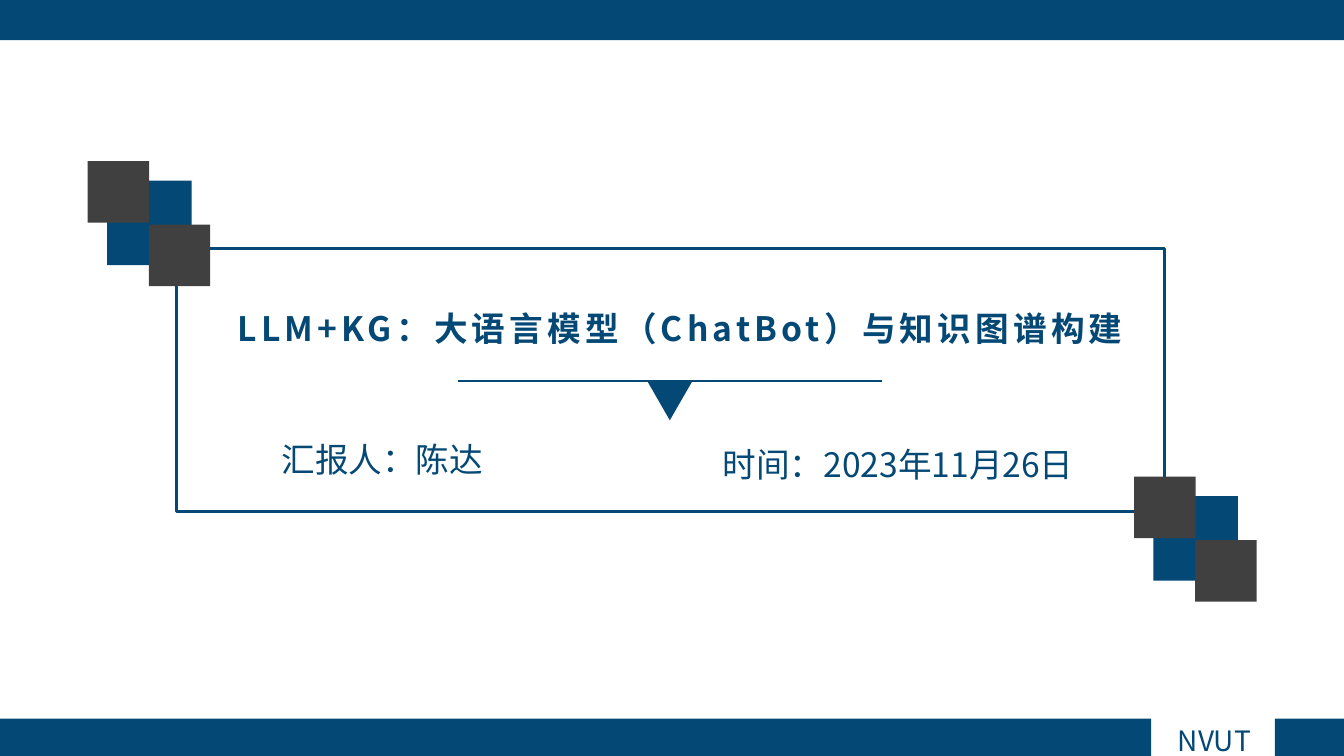
from lxml.etree import SubElement
from pptx import Presentation
from pptx.dml.color import RGBColor
from pptx.enum.shapes import MSO_CONNECTOR, MSO_SHAPE
from pptx.enum.text import MSO_ANCHOR, MSO_AUTO_SIZE, PP_ALIGN
from pptx.oxml.ns import qn
from pptx.util import Cm, Pt

NAVY = RGBColor(0x04, 0x48, 0x75)
CHARCOAL = RGBColor(0x40, 0x40, 0x40)
FONT = "Noto Sans CJK SC"
WIDTH, HEIGHT = 33.87, 19.05
FOOTER_TOP = 18.11


def place(shape, left, top, width, height):
    shape.left, shape.top = Cm(left), Cm(top)
    shape.width, shape.height = Cm(width), Cm(height)


def write(shape, text, size=24, bold=False, spacing=0):
    """Fill a shape with one centred navy line; spacing is in points."""
    frame = shape.text_frame
    frame.text = text
    frame.word_wrap = True
    frame.auto_size = MSO_AUTO_SIZE.NONE
    frame.vertical_anchor = MSO_ANCHOR.TOP
    paragraph = frame.paragraphs[0]
    paragraph.alignment = PP_ALIGN.CENTER
    paragraph.space_before = Pt(0)
    for run in paragraph.runs:
        run.font.name = FONT
        run.font.size = Pt(size)
        run.font.bold = bold
        run.font.color.rgb = NAVY
        properties = run.font._element
        properties.set("spc", str(spacing * 100))
        SubElement(properties, qn("a:ea")).set("typeface", FONT)


def add_text(slide, text, left, top, width, height, size=24):
    box = slide.shapes.add_textbox(Cm(left), Cm(top), Cm(width), Cm(height))
    write(box, text, size)


def add_block(slide, left, top, width, height, color=NAVY, kind=MSO_SHAPE.RECTANGLE):
    shape = slide.shapes.add_shape(kind, Cm(left), Cm(top), Cm(width), Cm(height))
    shape.shadow.inherit = False
    shape.fill.solid()
    shape.fill.fore_color.rgb = color
    shape.line.fill.background()
    return shape


def add_frame(slide, left, top, width, height):
    frame = add_block(slide, left, top, width, height)
    frame.fill.background()
    frame.line.color.rgb = NAVY
    frame.line.width = Pt(2)


def add_divider(slide, left, right, top):
    """Draw a line with a triangle hanging from its middle."""
    line = slide.shapes.add_connector(
        MSO_CONNECTOR.STRAIGHT, Cm(left), Cm(top), Cm(right), Cm(top))
    line.line.color.rgb = NAVY
    line.line.width = Pt(2)
    SubElement(line._element.spPr, qn("a:effectLst"))
    width = 1.14
    pointer = add_block(slide, (left + right - width) / 2, top, width, 0.99,
                        kind=MSO_SHAPE.ISOSCELES_TRIANGLE)
    pointer.rotation = 180


def add_corner_squares(slide, left, top):
    """Put two dark squares over opposite corners of a navy one."""
    add_block(slide, left + 0.49, top + 0.49, 2.13, 2.13)
    for across, down in ((0, 0), (1.54, 1.6)):
        add_block(slide, left + across, top + down, 1.55, 1.55, CHARCOAL)


def main():
    presentation = Presentation()
    presentation.slide_width, presentation.slide_height = Cm(WIDTH), Cm(HEIGHT)
    slide = presentation.slides.add_slide(presentation.slide_layouts[0])

    title, presenter = slide.shapes.title, slide.placeholders[1]
    place(title, 5.28, 7.62, 23.72, 1.96)
    write(title, "LLM+KG：大语言模型（ChatBot）与知识图谱构建", bold=True, spacing=3)
    place(presenter, 5.28, 10.92, 8.71, 1.27)
    write(presenter, "汇报人：陈达")
    add_text(slide, "时间：2023年11月26日", 16.26, 11.05, 12.75, 1.27)

    add_divider(slide, 11.53, 22.23, 9.6)
    add_frame(slide, 4.45, 6.27, 24.89, 6.63)
    for left, top in ((28.58, 12.01), (2.21, 4.06)):
        add_corner_squares(slide, left, top)

    add_block(slide, 0, 0, WIDTH, 1.01)
    for left, right in ((0, 29.01), (32.13, WIDTH)):
        add_block(slide, left, FOOTER_TOP, right - left, HEIGHT - FOOTER_TOP)
    add_text(slide, "NVUT", 28.52, FOOTER_TOP, 4.17, 1.12, size=20)

    presentation.save("out.pptx")


if __name__ == "__main__":
    main()
